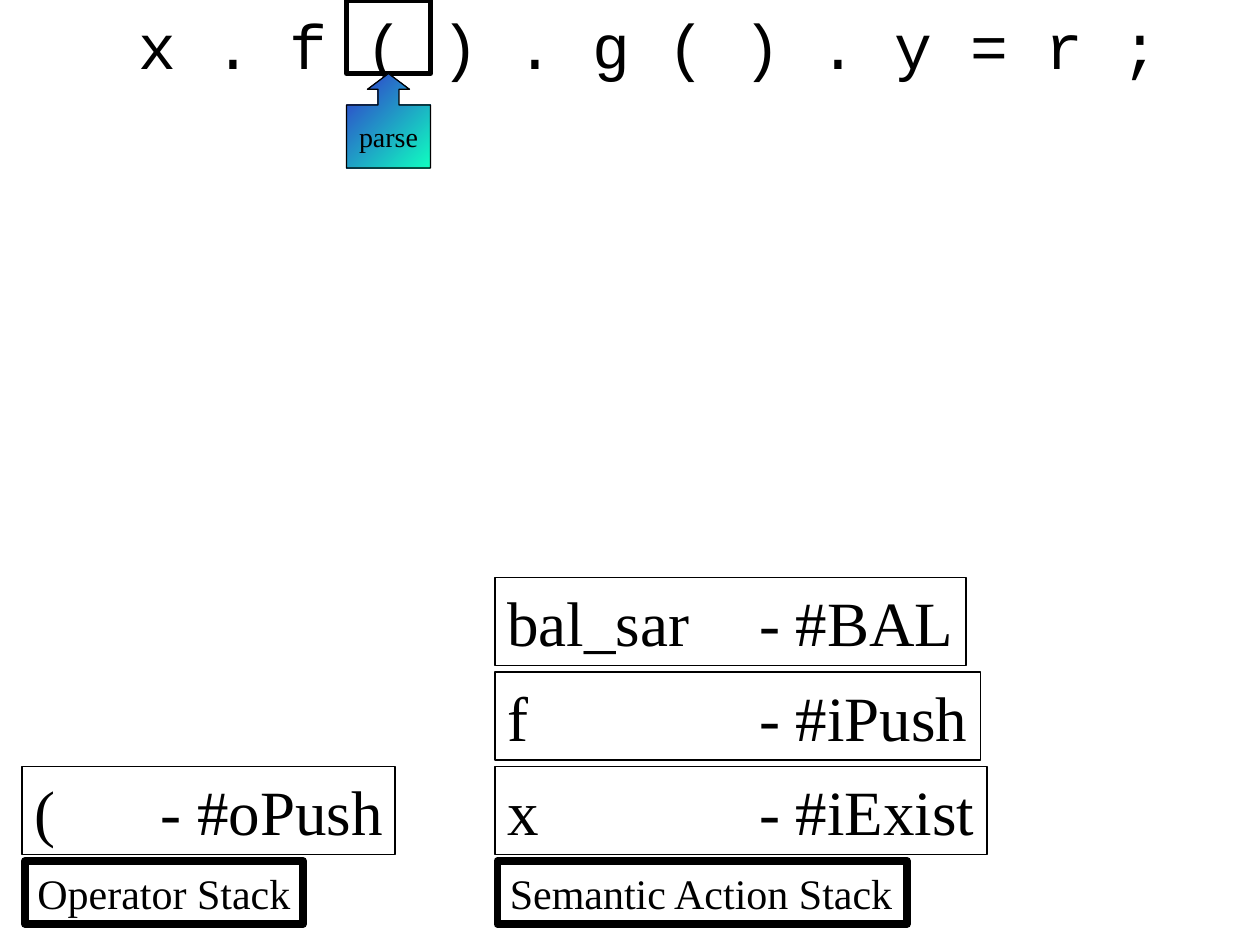
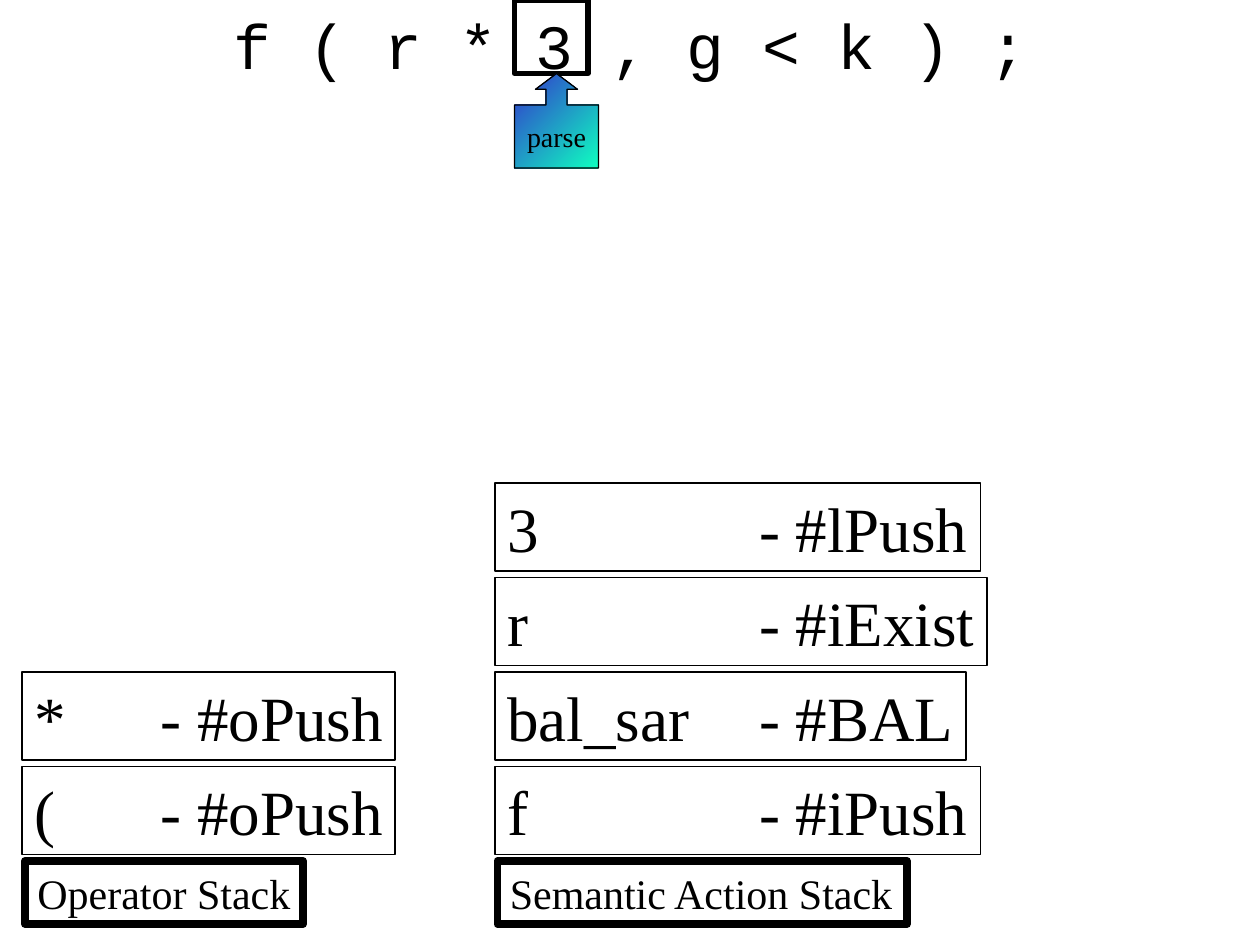
from dataclasses import dataclass

from lxml import etree
from pptx import Presentation
from pptx.dml.color import RGBColor
from pptx.enum.shapes import MSO_SHAPE
from pptx.enum.text import MSO_ANCHOR, MSO_AUTO_SIZE, PP_ALIGN
from pptx.oxml.ns import qn
from pptx.util import Pt

PX = 9525
SLIDE_WIDTH, SLIDE_HEIGHT = 960, 720

BLACK = RGBColor(0x00, 0x00, 0x00)
BLUE = RGBColor(0x33, 0x33, 0xCC)
AQUA = RGBColor(0x0F, 0xFF, 0xC0)

CODE_FONT = "Courier New"
BODY_FONT = "Times New Roman"

RECTANGLE = MSO_SHAPE.RECTANGLE
UP_ARROW_CALLOUT = MSO_SHAPE.UP_ARROW_CALLOUT
LEFT, CENTER = PP_ALIGN.LEFT, PP_ALIGN.CENTER
TOP, MIDDLE = MSO_ANCHOR.TOP, MSO_ANCHOR.MIDDLE
FIT_SHAPE, NO_FIT = MSO_AUTO_SIZE.SHAPE_TO_FIT_TEXT, MSO_AUTO_SIZE.NONE

STACK_MARGIN_RIGHT = 5
TAB_STEP, TAB_COUNT = 96, 7
ENTRY_BOTTOM_TOP, ENTRY_PITCH, ENTRY_HEIGHT = 584, 72, 67
LABEL_TOP, LABEL_HEIGHT = 656, 48
CURSOR_HEIGHT = 56
ARROW_WIDTH, ARROW_HEIGHT = 64, 72
ARROW_ADJUSTMENTS = (0.25, 0.25, 0.188, 0.667)


@dataclass(frozen=True)
class Stack:
    label: str
    label_left: int
    label_width: int
    entry_left: int
    tabs: int


@dataclass(frozen=True)
class Entry:
    symbol: str
    action: str


@dataclass(frozen=True)
class ParseStep:
    code: str
    code_shift: int
    cursor_left: int
    cursor_width: int
    operators: tuple[Entry, ...]
    semantics: tuple[Entry, ...]


OPERATOR_STACK = Stack("Operator Stack", 19, 212, 17, 1)
SEMANTIC_STACK = Stack("Semantic Action Stack", 379, 312, 377, 2)
ENTRY_WIDTHS = {"#oPush": 284, "#iExist": 375, "#iPush": 370, "#lPush": 370, "#BAL": 359}

OPEN_PARENTHESIS = Entry("(", "#oPush")
CALL_F = Entry("f", "#iPush")
ARGUMENT_LIST = Entry("bal_sar", "#BAL")

STEPS = (
    ParseStep("x . f ( ) . g ( ) . y = r ;", 29, 264, 64,
              (OPEN_PARENTHESIS,),
              (Entry("x", "#iExist"), CALL_F, ARGUMENT_LIST)),
    ParseStep("f ( r * 3 , g < k ) ;", 0, 392, 56,
              (OPEN_PARENTHESIS, Entry("*", "#oPush")),
              (CALL_F, ARGUMENT_LIST, Entry("r", "#iExist"), Entry("3", "#lPush"))),
)


def write_text(shape, text: str, size: int, font: str = BODY_FONT, alignment=LEFT,
               anchor=TOP, auto_size=FIT_SHAPE, wrap: bool = False) -> None:
    frame = shape.text_frame
    frame.word_wrap = wrap
    frame.auto_size = auto_size
    frame.vertical_anchor = anchor
    if alignment == LEFT:
        frame.margin_right = STACK_MARGIN_RIGHT * PX
    frame.text = text
    paragraph = frame.paragraphs[0]
    paragraph.alignment = alignment
    if "\t" in text:
        properties = paragraph._p.get_or_add_pPr()
        tab_list = etree.SubElement(properties, qn("a:tabLst"))
        for number in range(1, TAB_COUNT + 1):
            etree.SubElement(tab_list, qn("a:tab"), pos=str(number * TAB_STEP * PX), algn="l")
    paragraph.font.name = font
    paragraph.font.size = Pt(size)
    paragraph.font.color.rgb = BLACK


def add_outline(slide, kind, left: int, top: int, width: int, height: int, line_width: float):
    shape = slide.shapes.add_shape(kind, left * PX, top * PX, width * PX, height * PX)
    shape.shadow.inherit = False
    shape.fill.background()
    shape.line.color.rgb = BLACK
    shape.line.width = Pt(line_width)
    return shape


def add_code(slide, step: ParseStep) -> None:
    box = slide.shapes.add_textbox(0, 0, SLIDE_WIDTH * PX, ENTRY_HEIGHT * PX)
    write_text(box, step.code, 36, CODE_FONT, CENTER, wrap=True)
    box.text_frame.margin_left += step.code_shift * PX


def add_stack(slide, stack: Stack, entries: tuple[Entry, ...]) -> None:
    label = add_outline(slide, RECTANGLE, stack.label_left, LABEL_TOP,
                        stack.label_width, LABEL_HEIGHT, 4.5)
    write_text(label, stack.label, 24)
    for level, entry in enumerate(entries):
        box = add_outline(slide, RECTANGLE, stack.entry_left,
                          ENTRY_BOTTOM_TOP - level * ENTRY_PITCH,
                          ENTRY_WIDTHS[entry.action], ENTRY_HEIGHT, 1)
        tabs = "\t" * (1 if entry == ARGUMENT_LIST else stack.tabs)
        write_text(box, f"{entry.symbol}{tabs}- {entry.action}", 36)


def add_cursor(slide, step: ParseStep) -> None:
    add_outline(slide, RECTANGLE, step.cursor_left, 0, step.cursor_width, CURSOR_HEIGHT, 3)
    arrow = add_outline(slide, UP_ARROW_CALLOUT, step.cursor_left, CURSOR_HEIGHT,
                        ARROW_WIDTH, ARROW_HEIGHT, 0.75)
    for index, value in enumerate(ARROW_ADJUSTMENTS):
        arrow.adjustments[index] = value
    arrow.fill.gradient()
    arrow.fill.gradient_angle = 315
    for stop, color in zip(arrow.fill.gradient_stops, (BLUE, AQUA)):
        stop.color.rgb = color
    write_text(arrow, "parse", 16, alignment=CENTER, anchor=MIDDLE, auto_size=NO_FIT)


def main() -> None:
    presentation = Presentation()
    presentation.slide_width = SLIDE_WIDTH * PX
    presentation.slide_height = SLIDE_HEIGHT * PX
    blank_layout = presentation.slide_layouts[6]
    for step in STEPS:
        slide = presentation.slides.add_slide(blank_layout)
        add_code(slide, step)
        add_stack(slide, OPERATOR_STACK, step.operators)
        add_stack(slide, SEMANTIC_STACK, step.semantics)
        add_cursor(slide, step)
    presentation.save("out.pptx")


if __name__ == "__main__":
    main()
